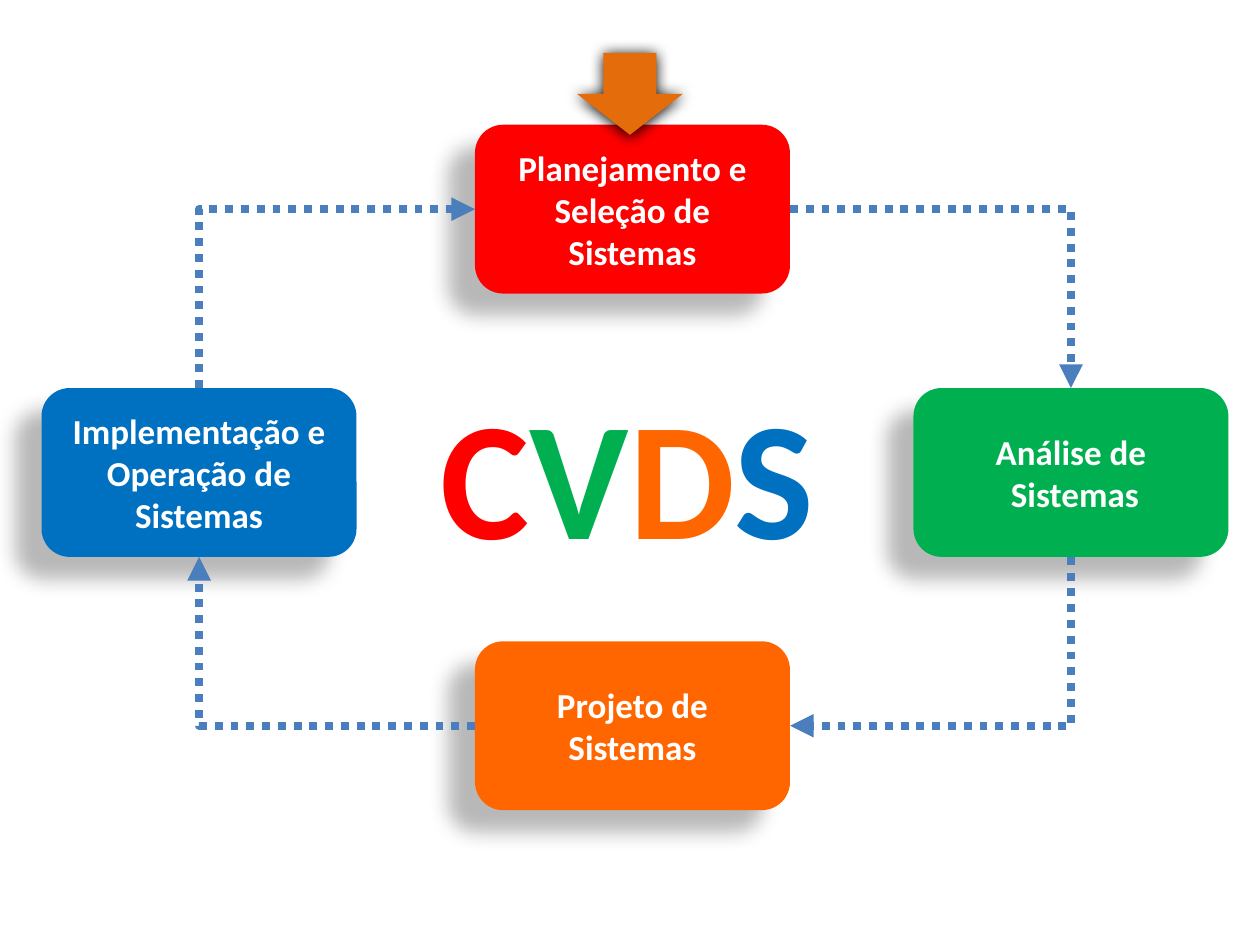
from pptx import Presentation
from pptx.dml.color import RGBColor
from pptx.enum.dml import MSO_LINE
from pptx.enum.shapes import MSO_CONNECTOR, MSO_SHAPE
from pptx.enum.text import MSO_ANCHOR, MSO_AUTO_SIZE, PP_ALIGN
from pptx.oxml import parse_xml
from pptx.oxml.ns import nsdecls, qn
from pptx.util import Inches, Pt

ROUNDED, DOWN_ARROW = MSO_SHAPE.ROUNDED_RECTANGLE, MSO_SHAPE.DOWN_ARROW
ELBOW, DOTTED = MSO_CONNECTOR.ELBOW, MSO_LINE.ROUND_DOT
CENTER, MIDDLE = PP_ALIGN.CENTER, MSO_ANCHOR.MIDDLE
FIT_SHAPE = MSO_AUTO_SIZE.SHAPE_TO_FIT_TEXT
TOP, LEFT, BOTTOM, RIGHT = range(4)

RED = RGBColor(0xFF, 0x00, 0x00)
GREEN = RGBColor(0x00, 0xB0, 0x50)
ORANGE = RGBColor(0xFF, 0x66, 0x00)
BLUE = RGBColor(0x00, 0x70, 0xC0)
WHITE = RGBColor(0xFF, 0xFF, 0xFF)
ARROW_ORANGE = RGBColor(0xE4, 0x6C, 0x0A)
LINE_BLUE = RGBColor(0x4B, 0x7E, 0xBC)

STAGE_SIZE = (2.5, 1.34)
STAGE_SHADOW = {"opacity": 28, "blur": 11.8, "distance": 19.7, "angle": 141}
ARROW_SHADOW = {"opacity": 100, "blur": 8.5, "distance": 1, "angle": 90}
STAGES = [
    (3.77, 0.99, RED, ["Planejamento e Seleção de Sistemas"]),
    (7.25, 3.08, GREEN, ["Análise de", " Sistemas"]),
    (3.77, 5.09, ORANGE, ["Projeto de", "Sistemas"]),
    (0.33, 3.08, BLUE, ["Implementação e Operação de Sistemas"]),
]
JOINTS = [(RIGHT, TOP), (BOTTOM, RIGHT), (LEFT, BOTTOM), (TOP, LEFT)]
TITLE = [("C", RED), ("V", GREEN), ("D", ORANGE), ("S", BLUE)]


class CycleSlide:
    """Draws the parts of a life-cycle diagram in one style on one slide."""

    def __init__(self, slide, font="Calibri"):
        self.shapes = slide.shapes
        self.font = font

    def add_span(self, para, text, size, color):
        span = para.add_run()
        span.text = text
        values = {"name": self.font, "size": Pt(size), "bold": True}
        for name, value in values.items():
            setattr(span.font, name, value)
        span.font.color.rgb = color

    def block(self, kind, left, top, width, height, color, shadow):
        box = self.shapes.add_shape(
            kind, Inches(left), Inches(top), Inches(width), Inches(height))
        box.fill.solid()
        box.fill.fore_color.rgb = color
        box.line.fill.background()
        box.shadow.inherit = False
        effects = box._element.spPr.find(qn("a:effectLst"))
        effects.append(parse_xml(
            f'<a:outerShdw {nsdecls("a")} blurRad="{Pt(shadow["blur"])}" '
            f'dist="{Pt(shadow["distance"])}" dir="{shadow["angle"] * 60000}" '
            f'algn="ctr" rotWithShape="0"><a:srgbClr val="000000">'
            f'<a:alpha val="{shadow["opacity"] * 1000}"/></a:srgbClr></a:outerShdw>'))
        return box

    def stage(self, left, top, color, lines):
        box = self.block(ROUNDED, left, top, *STAGE_SIZE, color, STAGE_SHADOW)
        frame = box.text_frame
        for name, value in {"word_wrap": True, "vertical_anchor": MIDDLE}.items():
            setattr(frame, name, value)
        for index, line in enumerate(lines):
            para = frame.add_paragraph() if index else frame.paragraphs[0]
            para.alignment = CENTER
            self.add_span(para, line, 20, WHITE)
        return box

    def title(self, left, top, width, height, letters):
        box = self.shapes.add_textbox(
            Inches(left), Inches(top), Inches(width), Inches(height))
        for name, value in {"word_wrap": False, "auto_size": FIT_SHAPE}.items():
            setattr(box.text_frame, name, value)
        for letter, color in letters:
            self.add_span(box.text_frame.paragraphs[0], letter, 96, color)

    def link(self, start, start_side, end, end_side, quarter_turns):
        link = self.shapes.add_connector(ELBOW, 0, 0, 0, 0)
        link.begin_connect(start, start_side)
        link.end_connect(end, end_side)
        properties = link._element.spPr
        properties.find(qn("a:prstGeom")).set("prst", "bentConnector2")
        placement = properties.find(qn("a:xfrm"))
        for flip in ("flipH", "flipV"):
            placement.attrib.pop(flip, None)
        placement.set("rot", str(quarter_turns * 90 * 60000))
        if quarter_turns % 2:
            width, height = link.width, link.height
            shift = (width - height) // 2
            values = {"left": link.left + shift, "top": link.top - shift,
                      "width": height, "height": width}
            for name, value in values.items():
                setattr(link, name, value)
        link.line.color.rgb = LINE_BLUE
        for name, value in {"width": Pt(4.5), "dash_style": DOTTED}.items():
            setattr(link.line, name, value)
        properties.find(qn("a:ln")).append(
            parse_xml(f'<a:tailEnd {nsdecls("a")} type="triangle"/>'))
        properties.append(parse_xml(f'<a:effectLst {nsdecls("a")}/>'))


def main():
    deck = Presentation()
    deck.slide_width, deck.slide_height = Inches(10), Inches(7.5)
    page = CycleSlide(deck.slides.add_slide(deck.slide_layouts[6]))
    boxes = [page.stage(*stage) for stage in STAGES]
    page.title(3.4, 2.9, 3.2, 1.72, TITLE)
    for turn, (start_side, end_side) in enumerate(JOINTS):
        following = boxes[(turn + 1) % len(boxes)]
        page.link(boxes[turn], start_side, following, end_side, turn)
    page.block(DOWN_ARROW, 4.58, 0.42, 0.84, 0.65, ARROW_ORANGE, ARROW_SHADOW)
    deck.save("out.pptx")


if __name__ == "__main__":
    main()
